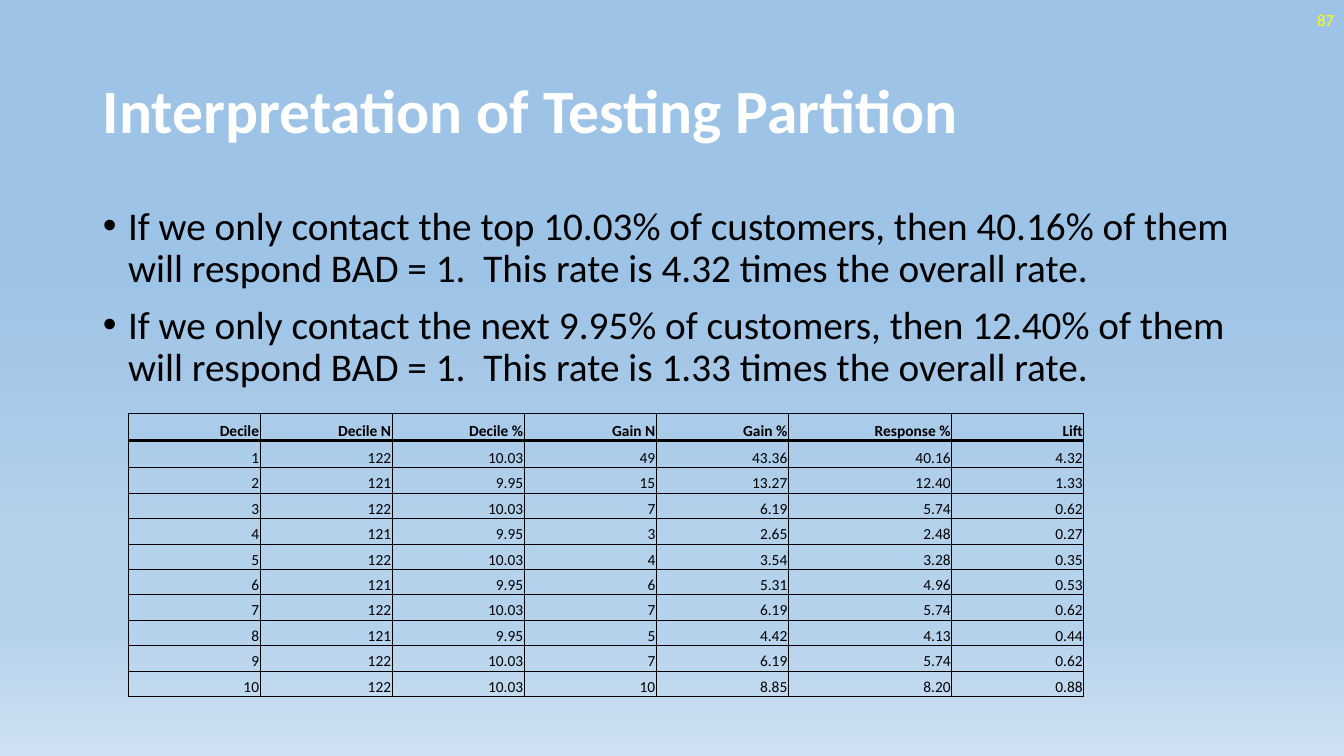
from dataclasses import dataclass

from lxml.etree import SubElement
from pptx import Presentation
from pptx.dml.color import RGBColor
from pptx.enum.text import MSO_ANCHOR, MSO_AUTO_SIZE, PP_ALIGN
from pptx.oxml.ns import qn
from pptx.util import Inches, Pt


@dataclass(frozen=True)
class Theme:
    font: str = "Calibri"
    title_color: str = "FFFFFF"
    text_color: str = "000000"
    number_color: str = "FFFF00"
    border_color: str = "000000"
    background: tuple = ((35, "9DC3E6"), (74, "B5D2EC"), (83, "B5D2EC"), (100, "CEE1F2"))
    title_size: int = 44
    body_size: int = 28
    number_size: int = 12
    table_size: int = 11
    thin_border: float = 0.5
    thick_border: float = 2


theme = Theme()


def style_paragraph(paragraph, size, color, alignment=PP_ALIGN.LEFT, bold=False):
    paragraph.alignment = alignment
    paragraph.font.name = theme.font
    paragraph.font.size = Pt(size)
    paragraph.font.bold = bold
    paragraph.font.color.rgb = RGBColor.from_string(color)


def add_border(cell, side, width):
    properties = cell._tc.get_or_add_tcPr()
    line = SubElement(properties, qn(f"a:{side}"), w=str(Pt(width)))
    fill = SubElement(line, qn("a:solidFill"))
    SubElement(fill, qn("a:srgbClr"), val=theme.border_color)


presentation = Presentation()
presentation.slide_width = Inches(13.33)
presentation.slide_height = Inches(7.5)
slide = presentation.slides.add_slide(presentation.slide_layouts[1])

background_fill = slide.background.fill
background_fill.gradient()
background_fill.gradient_angle = 270
stops = slide.element.find(f".//{qn('a:gsLst')}")
for stop in list(stops):
    stops.remove(stop)
for position, color in theme.background:
    stop = SubElement(stops, qn("a:gs"), pos=str(position * 1000))
    SubElement(stop, qn("a:srgbClr"), val=color)

title = slide.shapes.title
title.left, title.top = Inches(0.92), Inches(0.4)
title.width, title.height = Inches(11.5), Inches(1.45)
title.text_frame.text = "Interpretation of Testing Partition"
title.text_frame.auto_size = MSO_AUTO_SIZE.NONE
title.text_frame.vertical_anchor = MSO_ANCHOR.MIDDLE
title_paragraph = title.text_frame.paragraphs[0]
title_paragraph.line_spacing = 0.9
style_paragraph(title_paragraph, theme.title_size, theme.title_color, bold=True)

body = slide.placeholders[1]
body.left, body.top = Inches(0.92), Inches(2)
body.width, body.height = Inches(11.5), Inches(4.76)
body.text_frame.text = (
    "If we only contact the top 10.03% of customers, then 40.16% of them "
    "will respond BAD = 1.  This rate is 4.32 times the overall rate.\n"
    "If we only contact the next 9.95% of customers, then 12.40% of them "
    "will respond BAD = 1.  This rate is 1.33 times the overall rate."
)
body.text_frame.auto_size = MSO_AUTO_SIZE.NONE
for index, paragraph in enumerate(body.text_frame.paragraphs):
    paragraph.line_spacing = 0.9
    paragraph.space_before = Pt(10 if index else 0)
    properties = paragraph._p.get_or_add_pPr()
    properties.set("marL", str(Inches(0.25)))
    properties.set("indent", str(Inches(-0.25)))
    SubElement(properties, qn("a:buFont"), typeface="Arial")
    SubElement(properties, qn("a:buChar"), char="•")
    style_paragraph(paragraph, theme.body_size, theme.text_color)

number_box = slide.shapes.add_textbox(Inches(10.33), Inches(0), Inches(3), Inches(0.4))
number_box.text_frame.word_wrap = True
number_box.text_frame.vertical_anchor = MSO_ANCHOR.MIDDLE
number_box.text_frame.text = "87"
style_paragraph(
    number_box.text_frame.paragraphs[0], theme.number_size, theme.number_color, PP_ALIGN.RIGHT
)

decile_rows = [
    ("Decile", "Decile N", "Decile %", "Gain N", "Gain %", "Response %", "Lift"),
    ("1", "122", "10.03", "49", "43.36", "40.16", "4.32"),
    ("2", "121", "9.95", "15", "13.27", "12.40", "1.33"),
    ("3", "122", "10.03", "7", "6.19", "5.74", "0.62"),
    ("4", "121", "9.95", "3", "2.65", "2.48", "0.27"),
    ("5", "122", "10.03", "4", "3.54", "3.28", "0.35"),
    ("6", "121", "9.95", "6", "5.31", "4.96", "0.53"),
    ("7", "122", "10.03", "7", "6.19", "5.74", "0.62"),
    ("8", "121", "9.95", "5", "4.42", "4.13", "0.44"),
    ("9", "122", "10.03", "7", "6.19", "5.74", "0.62"),
    ("10", "122", "10.03", "10", "8.85", "8.20", "0.88"),
]
row_count, column_count = len(decile_rows), len(decile_rows[0])
table = slide.shapes.add_table(
    row_count, column_count, Inches(1.27), Inches(4.1), Inches(9.46), Inches(2.81)
).table
table.first_row = False
table.horz_banding = False

for index, column in enumerate(table.columns):
    column.width = Inches(1.62 if decile_rows[0][index] == "Response %" else 1.31)
for index, row in enumerate(table.rows):
    row.height = Inches(0.27 if index < 2 else (2.81 - 2 * 0.27) / (row_count - 2))

for row_index, values in enumerate(decile_rows):
    is_header = row_index == 0
    top_border = theme.thick_border if row_index == 1 else theme.thin_border
    bottom_border = theme.thick_border if is_header else theme.thin_border
    for column_index, value in enumerate(values):
        cell = table.cell(row_index, column_index)
        cell.text = value
        cell.vertical_anchor = MSO_ANCHOR.BOTTOM
        cell.margin_left = cell.margin_top = cell.margin_right = Inches(0.01)
        cell.margin_bottom = 0
        add_border(cell, "lnL", theme.thin_border)
        add_border(cell, "lnR", theme.thin_border)
        add_border(cell, "lnT", top_border)
        add_border(cell, "lnB", bottom_border)
        cell.fill.background()
        style_paragraph(
            cell.text_frame.paragraphs[0],
            theme.table_size,
            theme.text_color,
            PP_ALIGN.RIGHT,
            is_header,
        )

presentation.save("out.pptx")
